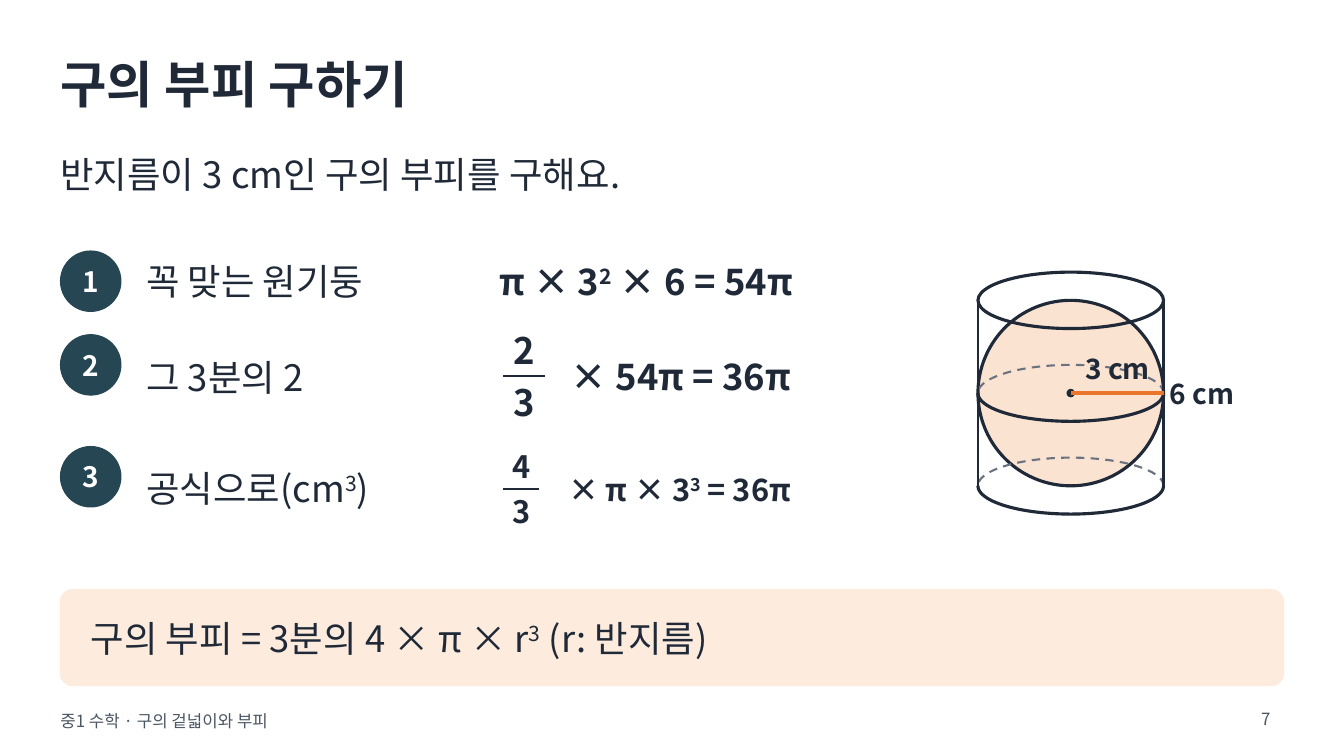
from math import cos, radians, sin

from lxml import etree
from pptx import Presentation
from pptx.dml.color import RGBColor
from pptx.enum.dml import MSO_LINE
from pptx.enum.shapes import MSO_CONNECTOR, MSO_SHAPE
from pptx.enum.text import MSO_ANCHOR, MSO_AUTO_SIZE, PP_ALIGN
from pptx.oxml.ns import qn
from pptx.util import Inches, Pt

FONT = "Noto Sans CJK KR"
INK, GRAY, DASH_GRAY, WHITE = "1F2937", "4B5563", "6B7280", "FFFFFF"
TEAL, ORANGE, PEACH, SPHERE_FILL = "264653", "E9762B", "FDEBDD", "FBE3D2"

# Text between carets is raised as a superscript.
TITLE = "구의 부피 구하기"
QUESTION = "반지름이 3 cm인 구의 부피를 구해요."
FORMULA = "구의 부피 = 3분의 4 × π × r^3^ (r: 반지름)"
FOOTER, PAGE = "중1 수학 · 구의 겉넓이와 부피", "7"
STEPS = [
    dict(label="꼭 맞는 원기둥", math="π × 3^2^ × 6 = 54π",
         badge_y=2.49, y=2.49, h=0.6),
    dict(label="그 3분의 2", fraction=("2", "3"), math="× 54π = 36π",
         badge_y=3.32, y=3.27, h=0.93, size=26, bar_y=3.73,
         frac_w=0.5, frac_h=0.43, rest_w=2.37),
    dict(label="공식으로(cm^3^)", fraction=("4", "3"), math="× π × 3^3^ = 36π",
         badge_y=4.43, y=4.38, h=0.93, size=22, bar_y=4.85,
         frac_w=0.44, frac_h=0.36, rest_w=2.46),
]

LEFT, LABEL_X, MATH_X, CONTENT_W = 0.6, 1.45, 4.95, 12.13
BADGE = 0.6
CENTER_X, CENTER_Y, RADIUS, TILT = 10.62, 3.9, 0.92, 0.28


def color(hex_code):
    """Turn a hex string into a colour."""
    return RGBColor.from_string(hex_code)


def write(shape, text, size, ink=INK, bold=False, align=PP_ALIGN.LEFT,
          margins=(0, 0), anchor=MSO_ANCHOR.MIDDLE):
    """Fill a shape with one paragraph, raising the parts between carets."""
    frame = shape.text_frame
    frame.word_wrap = True
    frame.auto_size = MSO_AUTO_SIZE.NONE
    frame.vertical_anchor = anchor
    frame.margin_left = frame.margin_right = Inches(margins[0])
    frame.margin_top = frame.margin_bottom = Inches(margins[1])
    paragraph = frame.paragraphs[0]
    paragraph.alignment = align
    for i, part in enumerate(text.split("^")):
        run = paragraph.add_run()
        run.text = part
        font = run.font
        font.size, font.bold, font.name = Pt(size), bold, FONT
        font.color.rgb = color(ink)
        properties = run._r.get_or_add_rPr()
        etree.SubElement(properties, qn("a:ea")).set("typeface", FONT)
        if i % 2:
            properties.set("baseline", "30000")


def add_text(box, text, size, **style):
    """Add a text box at (left, top, width, height)."""
    shape = shapes.add_textbox(*map(Inches, box))
    write(shape, text, size, **style)


def outline(shape, line, width, fill=None, dashed=False):
    """Set line and fill and drop the shadow."""
    shape.shadow.inherit = False
    if fill:
        shape.fill.solid()
        shape.fill.fore_color.rgb = color(fill)
    else:
        shape.fill.background()
    shape.line.color.rgb = color(line)
    shape.line.width = Pt(width)
    if dashed:
        shape.line.dash_style = MSO_LINE.DASH


def add_shape(kind, box, line, width, fill=None):
    """Add a preset shape at (left, top, width, height)."""
    shape = shapes.add_shape(kind, *map(Inches, box))
    outline(shape, line, width, fill)
    return shape


def add_ellipse(x, y, rx, ry, line, width, fill=None):
    """Add an ellipse by its centre and radii."""
    box = (x - rx, y - ry, 2 * rx, 2 * ry)
    return add_shape(MSO_SHAPE.OVAL, box, line, width, fill)


def add_line(x1, y1, x2, y2, ink, width):
    """Add a straight line without a shadow."""
    line = shapes.add_connector(MSO_CONNECTOR.STRAIGHT,
                                *map(Inches, (x1, y1, x2, y2)))
    line.line.color.rgb = color(ink)
    line.line.width = Pt(width)
    etree.SubElement(line._element.spPr, qn("a:effectLst"))


def add_half_ring(y, start, ink, width, dashed=False):
    """Add half of a tilted circle, running back 180 degrees from start."""
    points = [(Inches(CENTER_X + RADIUS * cos(radians(a))),
               Inches(y + TILT * sin(radians(a))))
              for a in range(start, start - 181, -3)]
    builder = shapes.build_freeform(*points[0])
    builder.add_line_segments(points[1:], close=False)
    outline(builder.convert_to_shape(), ink, width, dashed=dashed)


def add_solid():
    """Draw the sphere inside its cylinder."""
    top, bottom = CENTER_Y - RADIUS, CENTER_Y + RADIUS
    right = CENTER_X + RADIUS
    add_ellipse(CENTER_X, CENTER_Y, RADIUS, RADIUS, INK, 2.25, SPHERE_FILL)
    add_ellipse(CENTER_X, CENTER_Y, 0.035, 0.035, INK, 1, INK)
    for y in (CENTER_Y, bottom):
        add_half_ring(y, 180, INK, 2.25)
        add_half_ring(y, 0, DASH_GRAY, 1.5, dashed=True)
    add_ellipse(CENTER_X, top, RADIUS, TILT, INK, 2.25)
    for x in (CENTER_X - RADIUS, right):
        add_line(x, bottom, x, top, INK, 2)
    add_line(CENTER_X, CENTER_Y, right, CENTER_Y, ORANGE, 2.5)
    for text, x, y in (("6 cm", right, 3.73), ("3 cm", 10.7, 3.48)):
        add_text((x, y, 0.77, 0.35), text, 20, bold=True,
                 align=PP_ALIGN.CENTER)


def add_step(number, step):
    """Add a numbered badge, its label and its calculation."""
    y, h = step["y"], step["h"]
    badge = add_shape(MSO_SHAPE.OVAL, (LEFT, step["badge_y"], BADGE, BADGE),
                      TEAL, 0.75, TEAL)
    write(badge, str(number), 20, WHITE, True, PP_ALIGN.CENTER)
    add_text((LABEL_X, y, 3.5, h), step["label"], 26)
    if "fraction" not in step:
        add_text((MATH_X, y, 3.15, h), step["math"], 26, bold=True)
        return
    size, bar_y = step["size"], step["bar_y"]
    width, height = step["frac_w"], step["frac_h"]
    centered = dict(bold=True, align=PP_ALIGN.CENTER)
    top, bottom = step["fraction"]
    add_text((MATH_X, bar_y - 0.04 - height, width, height), top, size,
             **centered)
    add_line(MATH_X + 0.04, bar_y, MATH_X + width - 0.04, bar_y, INK,
             size / 16)
    add_text((MATH_X, bar_y + 0.04, width, height), bottom, size, **centered)
    add_text((MATH_X + width + 0.12, bar_y - 0.4, step["rest_w"], 0.8),
             step["math"], size, **centered)


prs = Presentation()
prs.slide_width, prs.slide_height = Inches(13.33), Inches(7.5)
slide = prs.slides.add_slide(prs.slide_layouts[5])
shapes = slide.shapes

title = shapes.title
title.left, title.top, title.width, title.height = map(
    Inches, (LEFT, 0.35, 12.1, 0.95))
write(title, TITLE, 36, bold=True)
add_text((LEFT, 1.45, CONTENT_W, 0.55), QUESTION, 26)

panel = add_shape(MSO_SHAPE.ROUNDED_RECTANGLE, (LEFT, 5.85, CONTENT_W, 0.95),
                  PEACH, 1, PEACH)
panel.adjustments[0] = 0.126
add_text((LEFT + 0.3, 6, CONTENT_W - 0.6, 0.65), FORMULA, 26)

add_solid()
for number, step in enumerate(STEPS, 1):
    add_step(number, step)

add_text((LEFT, 6.98, 9.5, 0.35), FOOTER, 12, ink=GRAY)
add_text((11.9, 6.98, 0.8, 0.35), PAGE, 12, ink=GRAY, align=PP_ALIGN.RIGHT,
         margins=(0.1, 0.05), anchor=MSO_ANCHOR.TOP)
prs.save("out.pptx")
